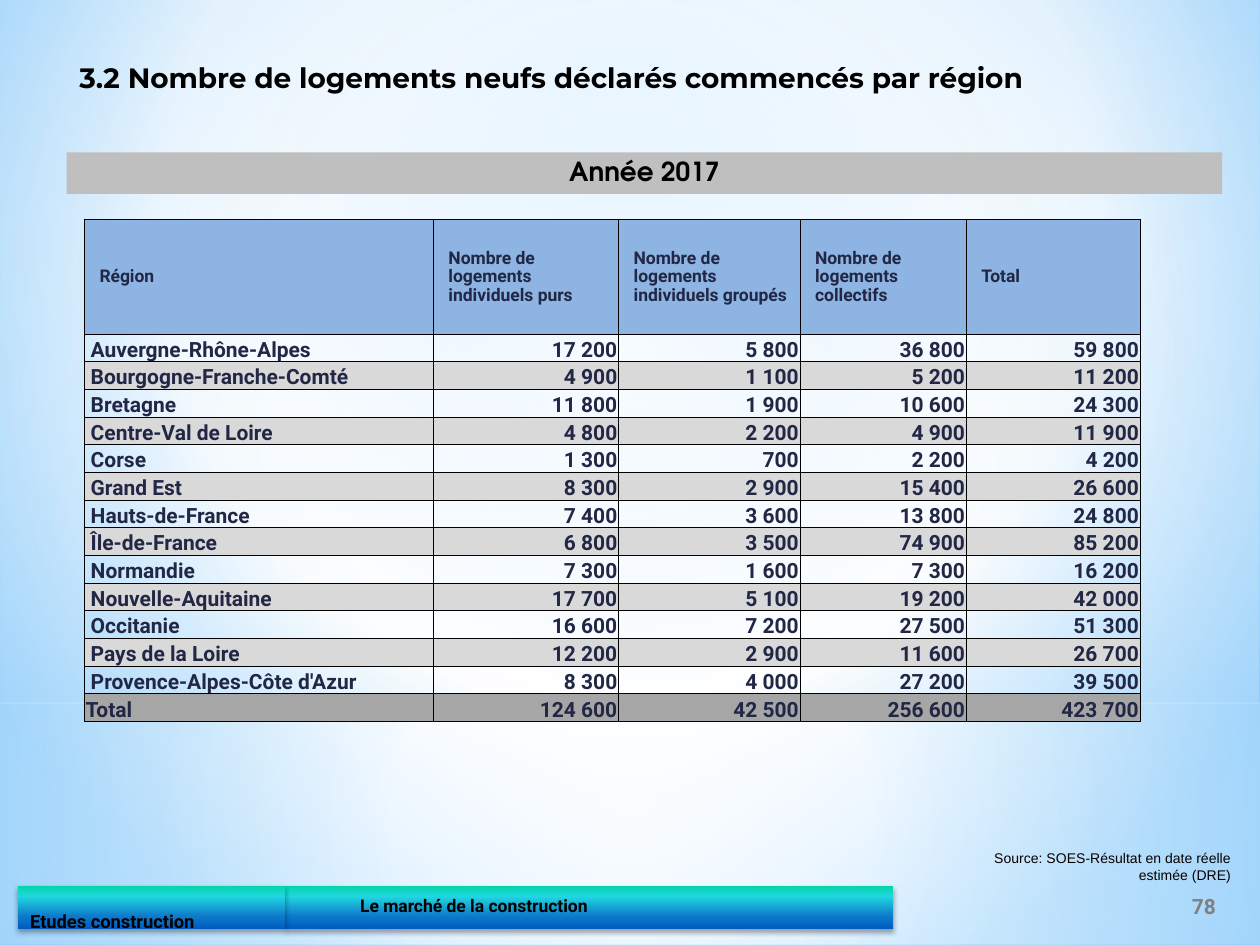
from pptx import Presentation
from pptx.dml.color import RGBColor
from pptx.enum.shapes import MSO_SHAPE
from pptx.enum.text import MSO_ANCHOR, PP_ALIGN
from pptx.oxml import parse_xml
from pptx.oxml.ns import nsdecls, qn
from pptx.util import Inches, Pt

RECTANGLE, FRAME = MSO_SHAPE.RECTANGLE, MSO_SHAPE.FRAME
TOP, MIDDLE, BOTTOM = MSO_ANCHOR.TOP, MSO_ANCHOR.MIDDLE, MSO_ANCHOR.BOTTOM
LEFT, CENTER, RIGHT = PP_ALIGN.LEFT, PP_ALIGN.CENTER, PP_ALIGN.RIGHT

THEME = {
    "black": "000000", "navy": "212745", "number": "808080", "source": "080000",
    "banner": "BFBFBF", "header": "8DB4E2", "band": "D9D9D9", "total": "A6A6A6",
    "title_size": 16, "banner_size": 15, "body_size": 12, "header_size": 10,
    "footer_size": 10.5, "source_size": 8,
    "title_font": "Montserrat", "banner_font": "TeX Gyre Adventor",
    "body_font": "Roboto", "source_font": "Arial",
    # Gradient stops: position %, colour, opacity %
    "sky": [(0, "9ED5FF", 100), (60, "FFFFFF", 100), (100, "5BB9FF", 100)],
    "lower_haze": [(0, "FFFFFF", 91), (37, "FFFFFF", 76), (100, "B4DCFA", 79)],
    "upper_haze": [(0, "FFFFFF", 89), (48, "FFFFFF", 62), (100, "B4DCFA", 79)],
    "footer": [(0, "03D4A8", 100), (25, "21D6E0", 100), (72, "0D79CA", 100), (100, "005CBF", 100)],
}
CIRCLE = '<a:path path="circle"><a:fillToRect l="{}000" t="{}000" r="{}000" b="{}000"/></a:path>'
DOWNWARD = '<a:lin ang="5400000" scaled="0"/>'

presentation = Presentation()
presentation.slide_width, presentation.slide_height = Inches(10), Inches(7.5)
slide = presentation.slides.add_slide(presentation.slide_layouts[5])


def place(left, top, width, height):
    """Turn percentages of the slide into a position and size."""
    across, down = presentation.slide_width / 100, presentation.slide_height / 100
    return round(left * across), round(top * down), round(width * across), round(height * down)


def set_gradient(properties, stops, direction):
    """Put a gradient where the properties hold a solid fill."""
    stop_xml = "".join(
        f'<a:gs pos="{position * 1000}"><a:srgbClr val="{color}">'
        f'<a:alpha val="{opacity * 1000}"/></a:srgbClr></a:gs>'
        for position, color, opacity in stops)
    gradient = parse_xml(f'<a:gradFill {nsdecls("a")} rotWithShape="1">'
                         f"<a:gsLst>{stop_xml}</a:gsLst>{direction}</a:gradFill>")
    properties.replace(properties.find(qn("a:solidFill")), gradient)


# Background
slide.background.fill.solid()
slide.background.fill.fore_color.rgb = RGBColor.from_string("FFFFFF")
set_gradient(slide.element.xpath(".//p:bgPr")[0], THEME["sky"], CIRCLE.format(20, 10, 20, 60))

# Haze panels and footer bars
centered = CIRCLE.format(50, 50, 50, 50)
painted = []
for kind, area, stops, direction in [
    (RECTANGLE, (0, 74.4, 100, 25.6), "lower_haze", centered),
    (RECTANGLE, (0, 0, 100, 74.4), "upper_haze", centered),
    (FRAME, (22.6, 93.73, 48.3, 4.53), "footer", DOWNWARD),
    (FRAME, (1.4, 93.73, 21.2, 4.53), "footer", DOWNWARD),
]:
    shape = slide.shapes.add_shape(kind, *place(*area))
    shape.fill.solid()
    set_gradient(shape.element.spPr, THEME[stops], direction)
    shape.line.fill.background()
    shape.shadow.inherit = False
    if kind == FRAME:
        shape.adjustments[0] = 0.5
        shape.element.spPr.find(qn("a:effectLst")).append(parse_xml(
            f'<a:outerShdw {nsdecls("a")} blurRad="{Pt(3.1)}" dist="{Pt(1.8)}" dir="5400000">'
            '<a:srgbClr val="000000"><a:alpha val="35000"/></a:srgbClr></a:outerShdw>'))
    painted.append(shape)
market_bar, studies_bar = painted[2:]
studies_bar.text_frame.margin_top = Inches(0.24)
studies_bar.text_frame.margin_bottom = 0

# Year banner
banner = slide.shapes.add_shape(RECTANGLE, *place(5.3, 16.13, 91.7, 4.4))
banner.fill.solid()
banner.fill.fore_color.rgb = RGBColor.from_string(THEME["banner"])
banner.line.fill.background()
banner.shadow.inherit = False

# Title, brought in front of the panels
title = slide.shapes.title
title.left, title.top, title.width, title.height = place(5.3, 5.73, 80.8, 5.87)
slide.shapes.element.append(title.element)

# Page number and source
page_number = slide.shapes.add_textbox(*place(92.6, 93.2, 5.9, 5.33))
source = slide.shapes.add_textbox(*place(76.6, 89.6, 22.1, 4.13))

# Wording outside the table
for shape, text, style, size, color, bold, alignment, anchor in [
    (market_bar, "\tLe marché de la construction", "body", "header", "black", True, LEFT, MIDDLE),
    (studies_bar, "Etudes construction", "body", "footer", "black", True, LEFT, MIDDLE),
    (banner, "Année 2017", "banner", "banner", "black", True, CENTER, TOP),
    (title, "3.2 Nombre de logements neufs déclarés commencés par région",
     "title", "title", "black", True, LEFT, TOP),
    (page_number, "78", "body", "body", "number", True, CENTER, MIDDLE),
    (source, "Source: SOES-Résultat en date réelle estimée (DRE)",
     "source", "source", "source", False, RIGHT, MIDDLE),
]:
    frame = shape.text_frame
    frame.text = text
    frame.word_wrap = shape is not source
    frame.vertical_anchor = anchor
    paragraph = frame.paragraphs[0]
    paragraph.alignment = alignment
    paragraph.line_spacing = 0.9 if shape in (market_bar, studies_bar, banner) else 1
    paragraph.font.name = THEME[f"{style}_font"]
    paragraph.font.size = Pt(THEME[f"{size}_size"])
    paragraph.font.bold = bold
    paragraph.font.color.rgb = RGBColor.from_string(THEME[color])

# Housing starts by region
headers = ["Région", "Nombre de logements individuels purs",
           "Nombre de logements individuels groupés",
           "Nombre de logements collectifs", "Total"]
starts = [
    ("Auvergne-Rhône-Alpes", 17200, 5800, 36800),
    ("Bourgogne-Franche-Comté", 4900, 1100, 5200),
    ("Bretagne", 11800, 1900, 10600),
    ("Centre-Val de Loire", 4800, 2200, 4900),
    ("Corse", 1300, 700, 2200),
    ("Grand Est", 8300, 2900, 15400),
    ("Hauts-de-France", 7400, 3600, 13800),
    ("Île-de-France", 6800, 3500, 74900),
    ("Normandie", 7300, 1600, 7300),
    ("Nouvelle-Aquitaine", 17700, 5100, 19200),
    ("Occitanie", 16600, 7200, 27500),
    ("Pays de la Loire", 12200, 2900, 11600),
    ("Provence-Alpes-Côte d'Azur", 8300, 4000, 27200),
]
sums = [sum(column) for column in list(zip(*starts))[1:]]
rows = [headers]
for region, *counts in starts + [("Total", *sums)]:
    rows.append([region] + [f"{count:,}".replace(",", " ") for count in counts + [sum(counts)]])

table = slide.shapes.add_table(len(rows), len(headers), *place(6.7, 23.2, 83.8, 53.2)).table
table.first_row = table.horz_banding = False
for column, width in zip(table.columns, [2.77, 1.47, 1.44, 1.32, 1.38]):
    column.width = Inches(width)
last = len(rows) - 1
for row_index, row in enumerate(rows):
    is_header = row_index == 0
    table.rows[row_index].height = Inches(0.91 if is_header else 0.22)
    fill = {0: "header", last: "total"}.get(row_index, None if row_index % 2 else "band")
    for column_index, text in enumerate(row):
        cell = table.cell(row_index, column_index)
        is_region = column_index == 0 and 0 < row_index < last
        cell.text = text
        cell.vertical_anchor = MIDDLE if is_header else BOTTOM
        cell.margin_left = Inches(0.12 if is_header else 0.05 if is_region else 0.01)
        cell.margin_top = cell.margin_right = Inches(0.01)
        cell.margin_bottom = 0
        paragraph = cell.text_frame.paragraphs[0]
        paragraph.alignment = LEFT if is_header or column_index == 0 else RIGHT
        paragraph.line_spacing = 0.9
        paragraph.font.name = THEME["body_font"]
        paragraph.font.size = Pt(THEME["header_size" if is_header else "body_size"])
        paragraph.font.bold = True
        paragraph.font.color.rgb = RGBColor.from_string(THEME["navy"])
        if fill:
            cell.fill.solid()
            cell.fill.fore_color.rgb = RGBColor.from_string(THEME[fill])
        else:
            cell.fill.background()
        # Thin black borders go ahead of the fill
        for position, side in enumerate("LRTB"):
            cell._tc.tcPr.insert(position, parse_xml(
                f'<a:ln{side} {nsdecls("a")} w="{Pt(0.5)}"><a:solidFill>'
                f'<a:srgbClr val="{THEME["black"]}"/></a:solidFill></a:ln{side}>'))

presentation.save("out.pptx")
